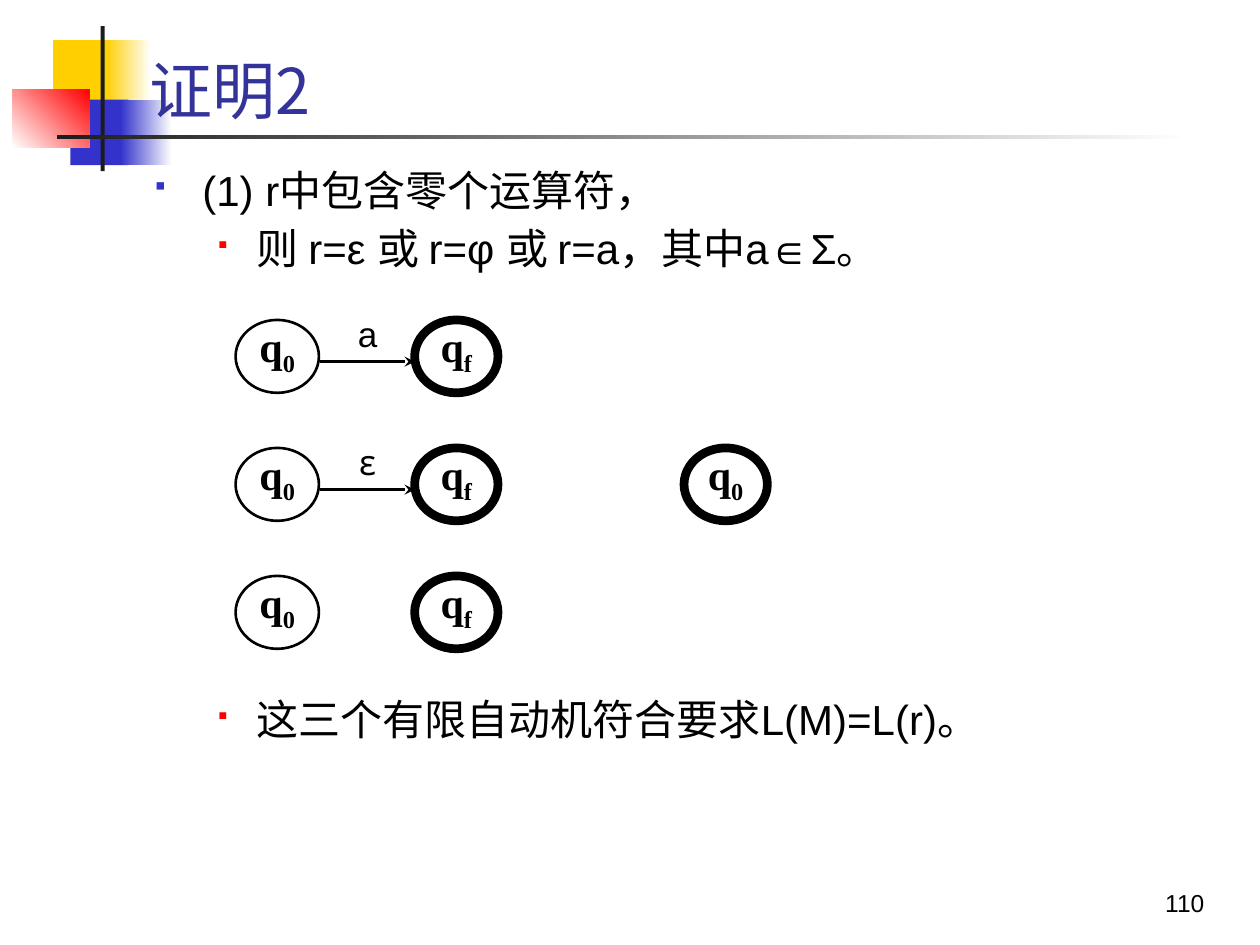
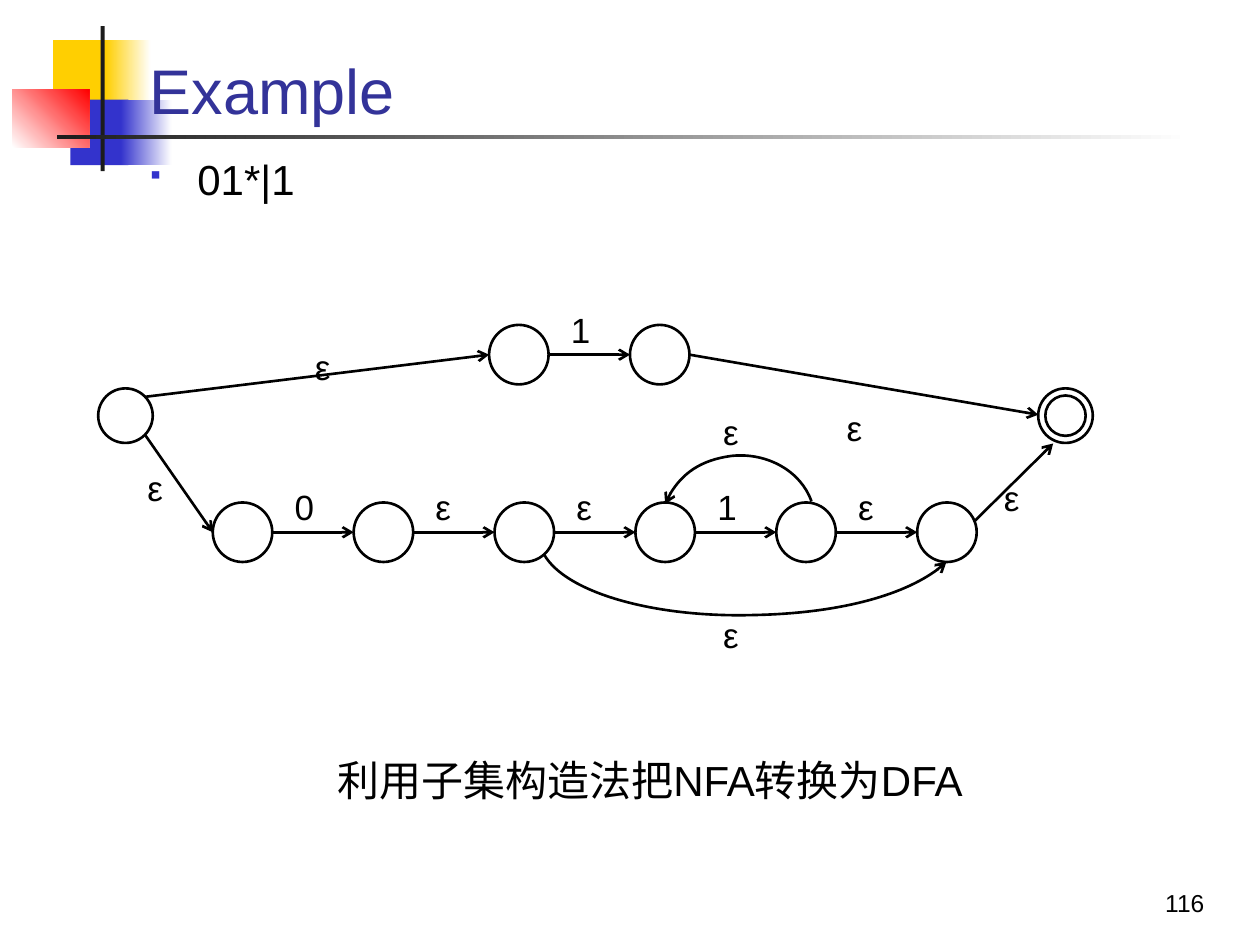
from lxml import etree
from pptx import Presentation
from pptx.dml.color import RGBColor
from pptx.enum import shapes, text
from pptx.oxml.ns import qn
from pptx.util import Cm, Pt

COLORS = {
    "black": "000000", "white": "FFFFFF", "title": "333399", "yellow": "FFCF01",
    "blue": "3333CC", "red": "FF0000", "ink": "1C1C1C",
}
RGB = {name: RGBColor.from_string(value) for name, value in COLORS.items()}
CJK = "Noto Sans CJK SC"
RECT, OVAL, DONUT = (shapes.MSO_SHAPE.RECTANGLE, shapes.MSO_SHAPE.OVAL,
                     shapes.MSO_SHAPE.DONUT)
LEFT, CENTER, RIGHT, JUSTIFY = (text.PP_ALIGN.LEFT, text.PP_ALIGN.CENTER,
                                text.PP_ALIGN.RIGHT, text.PP_ALIGN.JUSTIFY)
TOP, MIDDLE, BOTTOM = (text.MSO_ANCHOR.TOP, text.MSO_ANCHOR.MIDDLE,
                       text.MSO_ANCHOR.BOTTOM)


def style_text(sp, size, font="Arial", color="black", align=LEFT, anchor=TOP,
               margins=(0.25, 0.13, 0.25, 0.13), wrap=True, bold=False):
    tf = sp.text_frame
    tf.word_wrap = wrap
    tf.auto_size = text.MSO_AUTO_SIZE.NONE
    tf.vertical_anchor = anchor
    tf.margin_left, tf.margin_top, tf.margin_right, tf.margin_bottom = map(Cm, margins)
    for p in tf.paragraphs:
        p.alignment = align
        for r in p.runs:
            r.font.size = Pt(size)
            r.font.bold = bold
            r.font.color.rgb = RGB[color]
            r.font.name = font
            etree.SubElement(r._r.get_or_add_rPr(), qn("a:ea"), typeface=CJK)


def style_line(sp, width=1.5, tail=None):
    sp.line.color.rgb = RGB["black"]
    sp.line.width = Pt(width)
    props = sp.element.spPr
    if tail:
        etree.SubElement(sp.line._get_or_add_ln(), qn("a:tailEnd"), type=tail)
    if props.find(qn("a:effectLst")) is None:
        etree.SubElement(props, qn("a:effectLst"))


prs = Presentation()
prs.slide_width, prs.slide_height = Cm(25.4), Cm(19.05)
layout = prs.slide_layouts[5]

pages = [
    ("证明2", CJK, "110", [
        (2.87, 3.18, [(0, "(1) r中包含零个运算符，"),
                      (1, "则 r=ε 或 r=φ 或 r=a，其中a∈Σ。")]),
        (2.87, 13.86, [(1, "这三个有限自动机符合要求L(M)=L(r)。")]),
    ]),
    ("Example", "Arial", "116", [(2.77, 2.97, [(0, "01*|1")])]),
]
bullets = [(0.96, -0.96, "blue", 60), (2.06, -0.79, "red", 55)]

for title, font, number, bodies in pages:
    s = prs.slides.add_slide(layout)
    sp = s.shapes.title
    sp.left, sp.top, sp.width, sp.height = Cm(2.77), Cm(0.56), Cm(21.64), Cm(2.13)
    sp.text_frame.text = title
    style_text(sp, 36, font, "title", anchor=BOTTOM)

    for left, top, lines in bodies:
        sp = s.shapes.add_textbox(Cm(left), Cm(top), Cm(21.59), Cm(1.3 * len(lines)))
        tf = sp.text_frame
        tf.text = "\n".join(line for level, line in lines)
        for i, (p, (level, line)) in enumerate(zip(tf.paragraphs, lines)):
            margin, indent, color, percent = bullets[level]
            pPr = p._p.get_or_add_pPr()
            pPr.set("marL", str(Cm(margin)))
            pPr.set("indent", str(Cm(indent)))
            clr = etree.SubElement(pPr, qn("a:buClr"))
            etree.SubElement(clr, qn("a:srgbClr"), val=COLORS[color])
            etree.SubElement(pPr, qn("a:buSzPct"), val=str(percent * 1000))
            etree.SubElement(pPr, qn("a:buFont"), typeface="Wingdings")
            etree.SubElement(pPr, qn("a:buChar"), char="§")
            if i:
                p.space_before = Pt(4.8)
        style_text(sp, 24)

    sp = s.shapes.add_textbox(Cm(19.25), Cm(17.35), Cm(5.28), Cm(1.27))
    sp.text_frame.text = number
    style_text(sp, 14, align=RIGHT, anchor=BOTTOM)

proof, example = prs.slides

bands = [
    (1.07, 0.81, 1.22, 1.32, ["yellow"], 0),
    (2.13, 0.81, 0.91, 1.32, ["yellow", "white"], 0),
    (1.42, 2.01, 1.17, 1.32, ["blue"], 0),
    (2.44, 2.01, 1.02, 1.32, ["blue", "white"], 0),
    (0.25, 1.8, 1.55, 1.17, ["white", "red"], 45),
    (2.03, 0.53, 0.08, 2.92, ["ink"], 0),
    (1.14, 2.72, 22.86, 0.08, ["ink", "white"], 0),
]
for i, (x, y, w, h, colors, angle) in enumerate(bands):
    sp = proof.shapes.add_shape(RECT, Cm(x), Cm(y), Cm(w), Cm(h))
    sp.shadow.inherit = False
    sp.line.fill.background()
    if len(colors) == 1:
        sp.fill.solid()
        sp.fill.fore_color.rgb = RGB[colors[0]]
    else:
        sp.fill.gradient()
        sp.fill.gradient_angle = angle
        for stop, position, color in zip(sp.fill.gradient_stops, (0, 1), colors):
            stop.position = position
            stop.color.rgb = RGB[color]
    sp.element.nvSpPr.cNvPr.id = 100 + i
    layout.shapes.element.insert(2 + i, sp.element)

row_tops = [6.45 + 2.58 * i for i in range(3)]
named_states = [(13.79, row_tops[1], "0", 5)]
for y in row_tops:
    named_states += [(4.75, y, "0", 1.5), (8.36, y, "f", 5)]
for x, y, subscript, width in named_states:
    sp = proof.shapes.add_shape(OVAL, Cm(x), Cm(y), Cm(1.68), Cm(1.47))
    sp.fill.background()
    sp.shadow.inherit = False
    style_line(sp, width)
    p = sp.text_frame.paragraphs[0]
    for part in ("q", subscript):
        p.add_run().text = part
    style_text(sp, 24, "Times New Roman", align=CENTER, anchor=MIDDLE,
               margins=(0.25, 0, 0.25, 0.3), wrap=False, bold=True)
    p.runs[1].font._element.set("baseline", "-25000")

for y, symbol, font in zip(row_tops, "aε", ("Arial", "Karla")):
    sp = proof.shapes.add_textbox(Cm(6.43), Cm(y - 0.1), Cm(1.96), Cm(0.76))
    sp.text_frame.text = symbol
    style_text(sp, 20, font, align=CENTER, anchor=MIDDLE, wrap=False)
    arrow = proof.shapes.add_connector(shapes.MSO_CONNECTOR.STRAIGHT, Cm(6.45),
                                       Cm(y + 0.84), Cm(8.36), Cm(y + 0.84))
    style_line(arrow, tail="stealth")

step, size = 2.84, 1.2
states = [(OVAL, 1.98, 7.83, 1.1), (DONUT, 20.93, 7.83, 1.1)]
arrows = [
    (2.92, 8, 9.86, 7.15), (2.92, 8.76, 4.29, 10.73),
    (19.63, 10.52, 21.23, 8.94), (13.9, 7.15, 20.93, 8.36),
]
labels = [
    ("ε", 6.35, 7.09), ("ε", 2.97, 9.53), ("ε", 20.24, 9.73),
    ("ε", 17.07, 8.33), ("ε", 14.58, 8.41), ("ε", 14.58, 12.5),
]
for x0, y, symbols in [(4.29, 10.13, "0εε1ε"), (9.86, 6.55, "1")]:
    for i in range(len(symbols) + 1):
        states.append((OVAL, x0 + step * i, y, size))
    for i, symbol in enumerate(symbols):
        x = x0 + step * i
        arrows.append((x + size, y + size / 2, x + step, y + size / 2))
        labels.append((symbol, x + 1.65, y - 0.2))

for kind, x, y, d in states:
    sp = example.shapes.add_shape(kind, Cm(x), Cm(y), Cm(d), Cm(d))
    sp.shadow.inherit = False
    sp.fill.solid()
    sp.fill.fore_color.rgb = RGB["white"]
    style_line(sp)
    if kind == DONUT:
        sp.adjustments[0] = 0.13

for ends in arrows:
    arrow = example.shapes.add_connector(shapes.MSO_CONNECTOR.STRAIGHT, *map(Cm, ends))
    style_line(arrow, tail="arrow")

curves = [
    [(16.36, 10.11), (16.15, 9.5), (15.47, 9.12), (14.76, 9.19),
     (14.12, 9.27), (13.61, 9.65), (13.41, 10.16)],
    [(10.97, 11.18), (11.4, 11.94), (13.16, 12.45), (15.16, 12.4),
     (16.87, 12.37), (18.42, 11.96), (19.08, 11.33)],
]
for points in curves:
    start, *rest = [(Cm(x), Cm(y)) for x, y in points]
    builder = example.shapes.build_freeform(*start)
    builder.add_line_segments(rest, close=False)
    sp = builder.convert_to_shape()
    path = sp.element.find(".//" + qn("a:path"))
    segments = path.findall(qn("a:lnTo"))
    for i in range(0, len(segments), 3):
        cubic = etree.SubElement(path, qn("a:cubicBezTo"))
        for segment in segments[i:i + 3]:
            cubic.append(segment[0])
            path.remove(segment)
    sp.fill.background()
    sp.shadow.inherit = False
    style_line(sp, tail="arrow")

for symbol, x, y in labels:
    sp = example.shapes.add_textbox(Cm(x), Cm(y), Cm(0.58), Cm(0.58))
    sp.text_frame.text = symbol
    style_text(sp, 20, align=JUSTIFY, anchor=MIDDLE, margins=(0, 0, 0, 0))

sp = example.shapes.add_textbox(Cm(6.55), Cm(15.09), Cm(13.23), Cm(1.27))
sp.text_frame.text = "利用子集构造法把NFA转换为DFA"
style_text(sp, 24)

prs.save("out.pptx")
